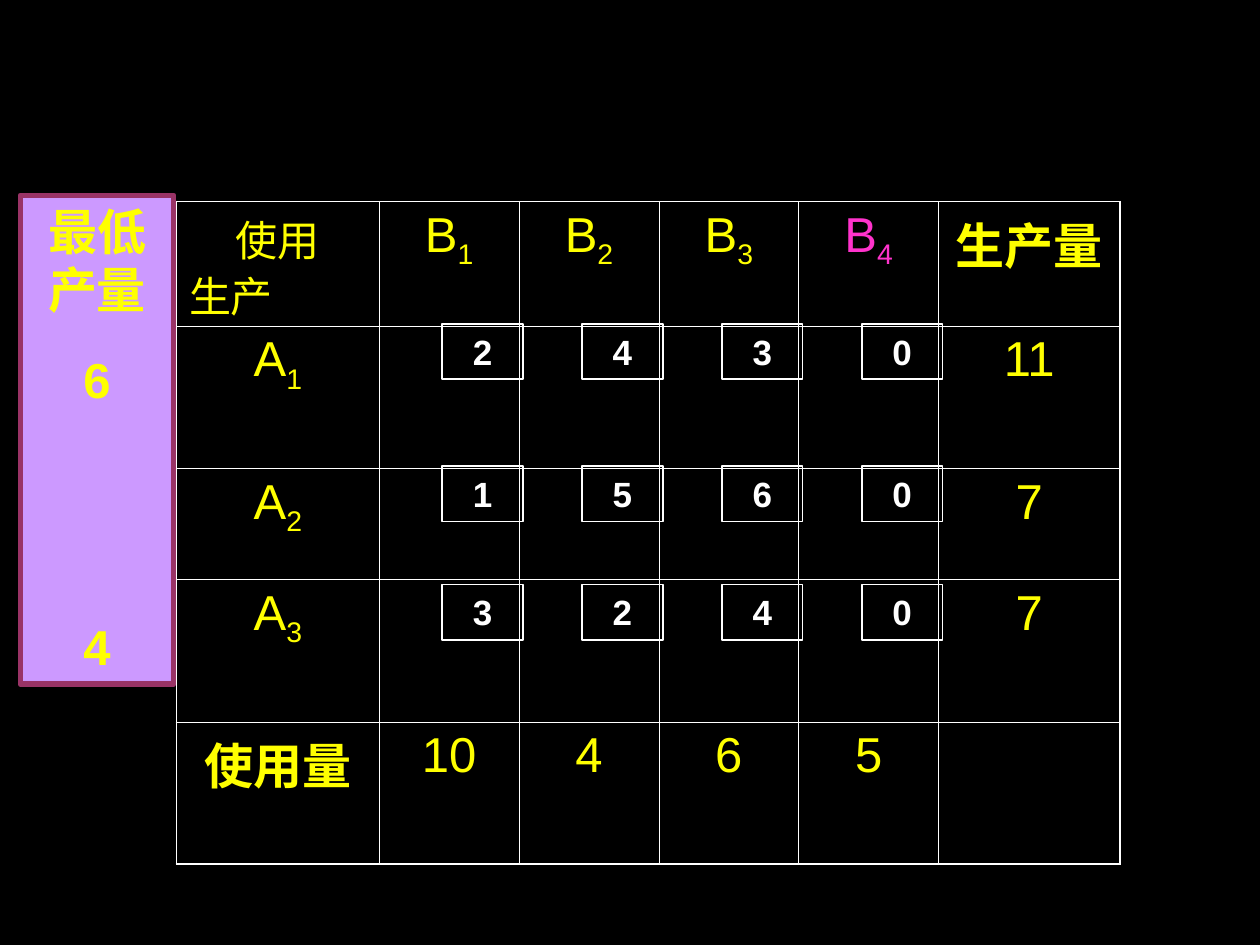
"""Builds a transport cost table with unit cost boxes and a minimum output panel."""
import pptx
import pptx.dml.color
import pptx.enum.shapes
import pptx.enum.text
import pptx.oxml
import pptx.oxml.ns
import pptx.util

Inches = pptx.util.Inches
Pt = pptx.util.Pt
ALIGN = pptx.enum.text.PP_ALIGN

COLORS = {
    "back": "000000",
    "text": "FFFF00",
    "dummy": "FF33CC",
    "line": "FFFFFF",
    "panel": "CC99FF",
    "edge": "993366",
}
HEAD = {"size": Pt(24), "name": "Times New Roman", "bold": False}
LABEL = {"size": Pt(28), "name": "Times New Roman", "bold": True}
VALUE = {"size": Pt(28), "name": "Arial", "bold": False}
COST = {"size": Pt(20), "name": "Arial", "bold": True}
MINIMUM = {"size": Pt(28), "name": "Arial", "bold": True}

COLS = [1.61, 1.11, 1.11, 1.11, 1.11, 1.44]
ROWS = [0.99, 1.13, 0.88, 1.13, 1.13]
GRID = [
    ["使用", "B1", "B2", "B3", "B4", "生产量"],
    ["A1", "", "", "", "", "11"],
    ["A2", "", "", "", "", "7"],
    ["A3", "", "", "", "", "7"],
    ["使用量", "10", "4", "6", "5", ""],
]
COSTS = {2.57: "2430", 3.7: "1560", 4.64: "3240"}


def rgb(key):
    """Return a named color."""
    return pptx.dml.color.RGBColor.from_string(COLORS[key])


def add_run(par, text, style, color="text", sub=False):
    """Add a styled run, lowered when it is a subscript."""
    run = par.add_run()
    run.text = text
    for name, value in style.items():
        setattr(run.font, name, value)
    run.font.color.rgb = rgb(color)
    if sub:
        run.font._element.set("baseline", "-25000")
    return run


def set_border(cell, sides):
    """Draw the cell sides with the given widths in points."""
    props = cell._tc.get_or_add_tcPr()
    space = pptx.oxml.ns.nsdecls("a")
    for spot, (side, width) in enumerate(sides.items()):
        props.insert(spot, pptx.oxml.parse_xml(
            f'<a:ln{side} {space} w="{Pt(width)}"><a:solidFill>'
            f'<a:srgbClr val="{COLORS["line"]}"/></a:solidFill></a:ln{side}>'))


def fill_cell(cell, text):
    """Write a cell, with the digit of a site name as a subscript."""
    par = cell.text_frame.paragraphs[0]
    par.alignment = ALIGN.CENTER
    if text[:1] in ("A", "B"):
        color = "dummy" if text == "B4" else "text"
        add_run(par, text[0], VALUE, color)
        add_run(par, text[1], VALUE, color, sub=True)
    elif text:
        add_run(par, text, VALUE if text.isdigit() else LABEL)


def fill_corner(cell):
    """Write the two axis names into the corner cell."""
    cell.margin_bottom = 0
    frame = cell.text_frame
    top, low = frame.paragraphs[0], frame.add_paragraph()
    top.alignment = ALIGN.CENTER
    low.space_before = Pt(6)
    low.line_spacing = Pt(26)
    add_run(top, GRID[0][0], HEAD)
    add_run(low, "生产", HEAD)


def add_grid(slide):
    """Add the transport table."""
    rows, cols = len(ROWS), len(COLS)
    table = slide.shapes.add_table(
        rows, cols, Inches(1.4), Inches(1.6),
        Inches(sum(COLS)), Inches(sum(ROWS))).table
    table.first_row = table.horz_banding = False
    for col, width in zip(table.columns, COLS):
        col.width = Inches(width)
    for row, height in zip(table.rows, ROWS):
        row.height = Inches(height)
    for r, texts in enumerate(GRID):
        for c, text in enumerate(texts):
            cell = table.cell(r, c)
            outer = {"L": c == 0, "R": c == cols - 1,
                     "T": r == 0, "B": r == rows - 1}
            set_border(cell, {side: 1.08 if edge else 0.45
                              for side, edge in outer.items()})
            cell.fill.background()
            if r or c:
                fill_cell(cell, text)
            else:
                fill_corner(cell)


def add_box(slide, place, line, width):
    """Add a rectangle with its text at the top."""
    box = slide.shapes.add_shape(
        pptx.enum.shapes.MSO_SHAPE.RECTANGLE, *map(Inches, place))
    box.shadow.inherit = False
    box.fill.background()
    box.line.color.rgb = rgb(line)
    box.line.width = Pt(width)
    box.text_frame.word_wrap = True
    box.text_frame.vertical_anchor = pptx.enum.text.MSO_ANCHOR.TOP
    return box


def add_cost(slide, left, top, text):
    """Add a unit cost box."""
    box = add_box(slide, (left, top, 0.64, 0.44), "line", 1)
    par = box.text_frame.paragraphs[0]
    par.alignment = ALIGN.CENTER
    par.line_spacing = Pt(24)
    add_run(par, text, COST, "line")


def add_panel(slide):
    """Add the minimum output panel."""
    box = add_box(slide, (0.16, 1.55, 1.22, 3.88), "edge", 3)
    box.fill.solid()
    box.fill.fore_color.rgb = rgb("panel")
    frame = box.text_frame
    for text, gap in (("最低产量", 0), ("6", 17.5), ("4", 119.5)):
        par = frame.add_paragraph() if gap else frame.paragraphs[0]
        par.alignment = ALIGN.CENTER
        par.space_before = Pt(gap)
        par.line_spacing = Pt(33.5)
        add_run(par, text, MINIMUM)


def main():
    """Build and save the slide."""
    deck = pptx.Presentation()
    deck.slide_width, deck.slide_height = Inches(10), Inches(7.5)
    slide = deck.slides.add_slide(deck.slide_layouts[6])
    slide.background.fill.solid()
    slide.background.fill.fore_color.rgb = rgb("back")
    add_grid(slide)
    for top, costs in COSTS.items():
        for i, cost in enumerate(costs):
            add_cost(slide, 3.51 + 1.11 * i, top, cost)
    add_panel(slide)
    deck.save("out.pptx")


if __name__ == "__main__":
    main()
